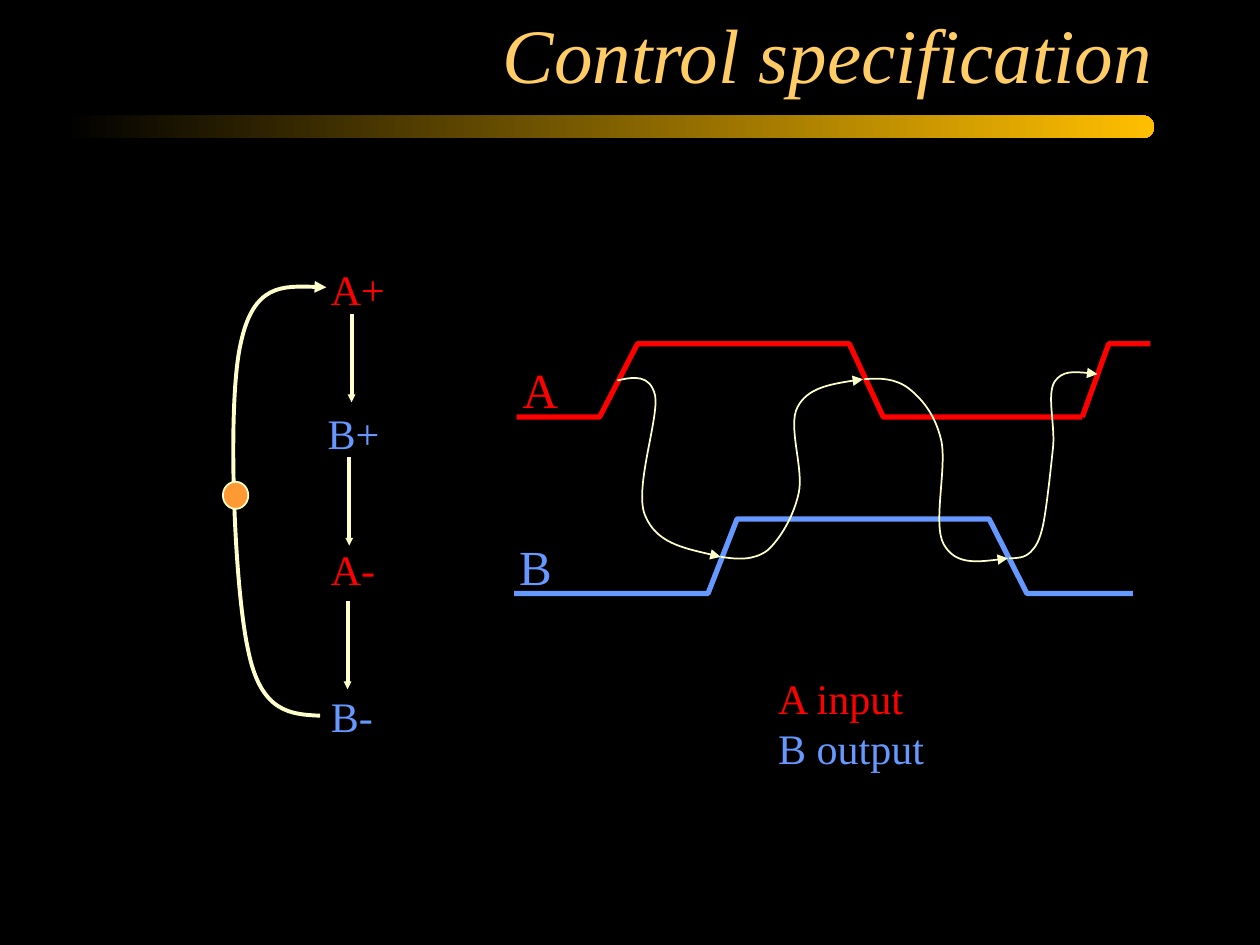
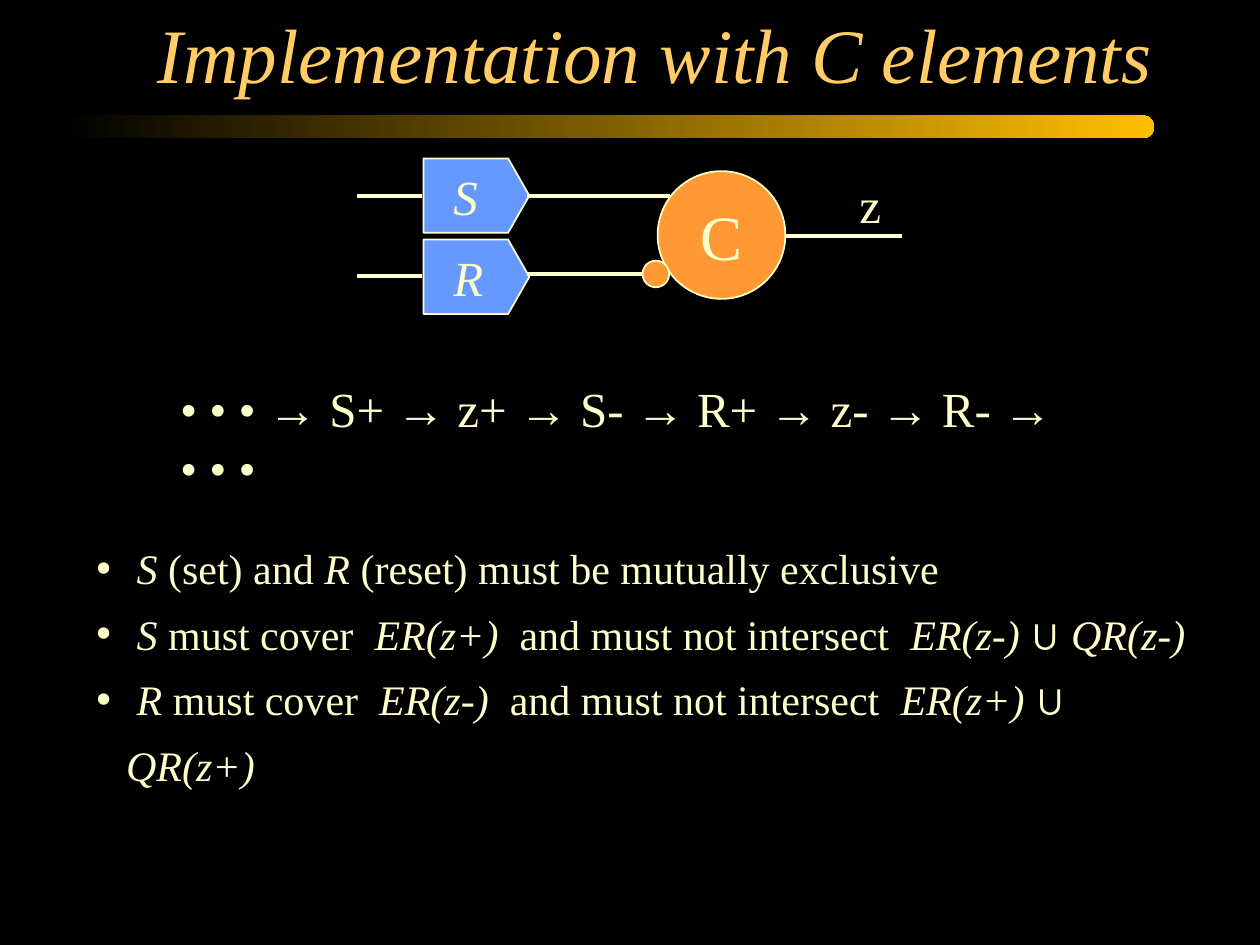
from dataclasses import dataclass
from itertools import groupby

from lxml import etree
from pptx import Presentation
from pptx.dml.color import RGBColor as RGB
from pptx.enum.shapes import MSO_CONNECTOR as LINE, MSO_SHAPE as SHAPE
from pptx.enum.text import MSO_ANCHOR as ANCHOR, MSO_AUTO_SIZE as AUTO, PP_ALIGN as ALIGN
from pptx.oxml.ns import qn
from pptx.util import Pt


@dataclass(frozen=True)
class Theme:
    back: RGB = RGB(0x00, 0x00, 0x00)
    band: RGB = RGB(0xFF, 0xBF, 0x00)
    title: RGB = RGB(0xFF, 0xCC, 0x66)
    pale: RGB = RGB(0xFF, 0xFF, 0xCC)
    red: RGB = RGB(0xFF, 0x00, 0x00)
    blue: RGB = RGB(0x66, 0x99, 0xFF)
    orange: RGB = RGB(0xFF, 0x99, 0x33)
    font: str = "Times New Roman"
    symbol_font: str = "Arial"
    symbols: str = "→∪"
    title_size: int = 44
    gate_size: int = 36
    large: int = 28
    body: int = 24
    thin: float = 1
    medium: float = 2.25
    thick: float = 3


T = Theme()


class Deck:
    def __init__(self, theme):
        self.t = theme
        self.prs = Presentation()
        self.prs.slide_width, self.prs.slide_height = Pt(720), Pt(540)
        fill = self.prs.slide_master.background.fill
        fill.solid()
        fill.fore_color.rgb = theme.back
        self.s = None

    def slide(self, title):
        """Start a slide with its title and the gradient band below it."""
        self.s = self.prs.slides.add_slide(self.prs.slide_layouts[5])
        sp = self.s.shapes.title
        sp.left, sp.top, sp.width, sp.height = Pt(54), Pt(6), Pt(612), Pt(54)
        tf = sp.text_frame
        tf.auto_size, tf.word_wrap = AUTO.NONE, True
        tf.vertical_anchor = ANCHOR.BOTTOM
        p = tf.paragraphs[0]
        p.alignment = ALIGN.RIGHT
        self.runs(p, title, self.t.title_size, self.t.title, italic=True)

        band = self.s.shapes.add_shape(SHAPE.ROUNDED_RECTANGLE, Pt(36), Pt(66), Pt(623.5), Pt(13))
        band.shadow.inherit = False
        band.adjustments[0] = 0.5
        band.line.fill.background()
        band.fill.gradient()
        band.fill.gradient_angle = 0
        for stop, color in zip(band.fill.gradient_stops, (self.t.back, self.t.band)):
            stop.color.rgb = color

    def runs(self, p, text, size, color, italic=False):
        """Add text to a paragraph, with symbols in runs of their own font."""
        for symbol, chars in groupby(text, lambda c: c in self.t.symbols):
            r = p.add_run()
            r.text = "".join(chars)
            f = r.font
            f.name = self.t.symbol_font if symbol else self.t.font
            f.size, f.italic, f.color.rgb = Pt(size), italic, color

    def box(self, x, y, w, h, wrap=False):
        tf = self.s.shapes.add_textbox(Pt(x), Pt(y), Pt(w), Pt(h)).text_frame
        tf.word_wrap = wrap
        return tf

    def label(self, x, y, w, h, text, size, color, italic=False, wrap=False):
        tf = self.box(x, y, w, h, wrap)
        self.runs(tf.paragraphs[0], text, size, color, italic)
        return tf

    def bullets(self, x, y, w, h, items):
        """Each item is a list of pieces, alternately upright and italic."""
        tf = self.box(x, y, w, h, wrap=True)
        for i, pieces in enumerate(items):
            p = tf.add_paragraph() if i else tf.paragraphs[0]
            ppr = p._p.get_or_add_pPr()
            ppr.set("marL", str(Pt(17)))
            ppr.set("indent", str(-Pt(17)))
            color = etree.SubElement(ppr, qn("a:buClr"))
            etree.SubElement(color, qn("a:srgbClr"), val=str(self.t.pale))
            etree.SubElement(ppr, qn("a:buFont"), typeface=self.t.symbol_font)
            etree.SubElement(ppr, qn("a:buChar"), char="•")
            p.line_spacing = 1.3
            for j, piece in enumerate(pieces):
                self.runs(p, piece, self.t.body, self.t.pale, italic=j % 2 == 1)

    def shape(self, kind, x, y, w, h, fill, rotation=0):
        sp = self.s.shapes.add_shape(kind, Pt(x), Pt(y), Pt(w), Pt(h))
        sp.shadow.inherit = False
        sp.rotation = rotation
        sp.fill.solid()
        sp.fill.fore_color.rgb = fill
        self.stroke(sp, self.t.pale, self.t.thin)
        return sp

    def stroke(self, sp, color, width, head=None):
        """Style a line; head is the arrowhead size, sm or med."""
        sp.line.color.rgb, sp.line.width = color, Pt(width)
        if head:
            ln = sp._element.spPr.find(qn("a:ln"))
            etree.SubElement(ln, qn("a:tailEnd"), type="triangle", w=head, len=head)

    def line(self, x1, y1, x2, y2, head=None):
        c = self.s.shapes.add_connector(LINE.STRAIGHT, Pt(x1), Pt(y1), Pt(x2), Pt(y2))
        self.stroke(c, self.t.pale, self.t.medium, head)
        etree.SubElement(c._element.spPr, qn("a:effectLst"))

    def polyline(self, points, color, width, head=None):
        (x, y), *rest = [(Pt(px), Pt(py)) for px, py in points]
        fb = self.s.shapes.build_freeform(x, y)
        fb.add_line_segments(rest, close=False)
        sp = fb.convert_to_shape()
        sp.shadow.inherit = False
        sp.fill.background()
        self.stroke(sp, color, width, head)
        return sp

    def curve(self, points, width):
        """Arrow through Bezier points: a start, then three per segment."""
        sp = self.polyline(points, self.t.pale, width, head="med")
        path = next(sp._element.iter(qn("a:path")))
        steps = path.findall(qn("a:lnTo"))
        for i in range(0, len(steps), 3):
            bezier = etree.SubElement(path, qn("a:cubicBezTo"))
            for step in steps[i:i + 3]:
                bezier.append(step[0])
                path.remove(step)

    def wave(self, xs, levels, low, high, color):
        """Signal trace; levels holds L or H for each x."""
        ys = [high if level == "H" else low for level in levels]
        self.polyline(list(zip(xs, ys)), color, self.t.thick)


def control_specification(d):
    d.slide("Control specification")

    events = [("A+", 182, 147, T.red), ("B+", 180.2, 229.3, T.blue),
              ("A-", 182, 307, T.red), ("B-", 182, 391, T.blue)]
    for text, x, y, color in events:
        d.label(x, y, 50, 36, text, T.body, color, wrap=True)
    for x, y in ((200.9, 179.3), (199.6, 261.2), (198.6, 343.3)):
        d.line(x, y, x, y + 50.6, head="sm")
    d.curve([(182.9, 409), (166.3, 408.2), (149, 407.5), (141.8, 371.5),
             (133.9, 336.2), (129.6, 231.1), (137.5, 196.6),
             (144.7, 162), (165.6, 163.4), (186.5, 164.2)], T.medium)
    d.shape(SHAPE.OVAL, 127.4, 275.3, 14.5, 15.5, T.orange)

    d.wave([295.2, 342.7, 364.3, 485.3, 504.7, 618.5], "LLHHLL", 238.2, 196.4, T.red)
    d.wave([618.5, 633.6, 657.4], "LHH", 238.2, 196.4, T.red)
    d.wave([293.8, 404.6, 421.2, 565.2, 586.8, 647.3], "LLHHLL", 339.1, 296.5, T.blue)

    causes = [
        [(352.8, 217.4), (362.2, 215.3), (371.5, 213.8), (374.4, 226.1),
         (376.6, 239), (362.2, 279.4), (368.6, 294.5),
         (375.1, 310.3), (393.8, 313.9), (411.8, 318.2)],
        [(411.8, 318.2), (421.2, 319.7), (430.6, 320.4), (438.5, 314.6),
         (445.7, 308.2), (453.6, 295.2), (456.5, 281.5),
         (459.4, 267.8), (450, 243.4), (455.8, 232.6),
         (461.5, 221.8), (477.4, 218.9), (493.2, 216.7)],
        [(493.9, 216.7), (502.6, 216), (511.2, 216), (519.1, 221.8),
         (526.3, 227.5), (534.2, 236.2), (537.8, 251.3),
         (541.4, 266.4), (532.8, 299.5), (539.3, 311),
         (545.8, 322.6), (560.9, 321.1), (576, 319)],
        [(576.7, 319), (581, 319), (585.4, 319), (589, 315.4),
         (591.8, 312.5), (594, 309.6), (596.2, 299.5),
         (598.3, 288.7), (600.5, 267.8), (601.9, 254.2),
         (602.6, 241.2), (598.3, 225.4), (602.6, 218.2),
         (607, 211.7), (617, 212.4), (627.1, 213.8)],
    ]
    for points in causes:
        d.curve(points, T.thin)

    d.label(291.6, 202, 34.5, 41, "A", T.large, T.red)
    d.label(289.6, 303, 33, 41, "B", T.large, T.blue)
    legend = d.label(437.6, 380.6, 98, 65, "A input", T.body, T.red)
    d.runs(legend.add_paragraph(), "B output", T.body, T.blue)


def c_elements(d):
    d.slide("Implementation with C elements")

    for text, y, label_w in (("S", 81.5, 28), ("R", 127.9, 32)):
        d.shape(SHAPE.FLOWCHART_OFFPAGE_CONNECTOR, 251, y, 42.5, 60.5, T.blue, rotation=270)
        d.label(252, y + 10.3, label_w, 41, text, T.large, T.pale, italic=True)
    gate = d.shape(SHAPE.OVAL, 375.8, 97.8, 73, 73, T.orange)
    tf = gate.text_frame
    tf.margin_left = tf.margin_right = 0
    tf.vertical_anchor = ANCHOR.MIDDLE
    tf.paragraphs[0].alignment = ALIGN.CENTER
    d.runs(tf.paragraphs[0], "C", T.gate_size, T.pale)
    d.shape(SHAPE.OVAL, 367.2, 149, 15.2, 15.2, T.orange)
    d.label(484, 96, 26.5, 41, "z", T.large, T.pale)

    wires = [(204, 241.4, 112.2), (204, 241.4, 157.8), (301.4, 383, 112.2),
             (301.4, 367.2, 156.8), (448.8, 515.3, 134.7)]
    for x1, x2, y in wires:
        d.line(x1, y, x2, y)

    steps = ["• • •", "S+", "z+", "S-", "R+", "z-", "R-", "• • •"]
    d.label(95.8, 212.7, 526.3, 41, " → ".join(steps), T.large, T.pale, wrap=True)

    d.bullets(48, 298, 641, 119.5, [
        [" ", "S", " (set) and ", "R", " (reset) must be mutually exclusive"],
        [" ", "S", " must cover  ", "ER(z+) ", " and must not intersect  ",
         "ER(z-) ", "∪", " QR(z-)"],
        [" ", "R", " must cover  ", "ER(z-) ", " and must not intersect  ",
         "ER(z+) ", "∪", " QR(z+)"],
    ])


def main():
    d = Deck(T)
    control_specification(d)
    c_elements(d)
    d.prs.save("out.pptx")


if __name__ == "__main__":
    main()
